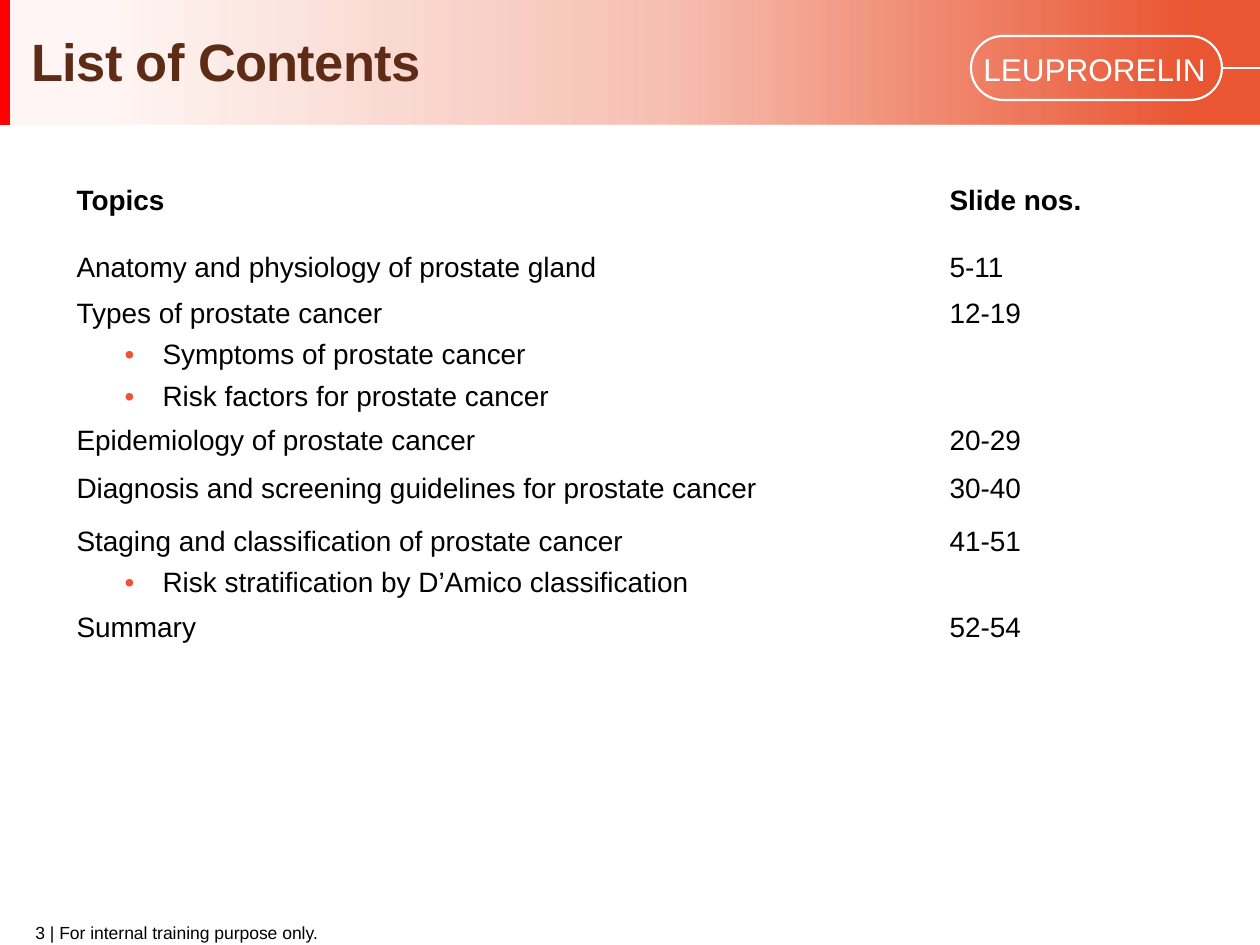
from lxml.etree import SubElement
from pptx import Presentation
from pptx.dml.color import RGBColor
from pptx.enum.shapes import MSO_CONNECTOR, MSO_SHAPE
from pptx.enum.text import MSO_ANCHOR, PP_ALIGN
from pptx.oxml import parse_xml
from pptx.oxml.ns import nsdecls, qn
from pptx.util import Pt

PX = 914400 // 126
COLORS = {
    "accent": "EA5532", "edge": "FF0000", "title": "5E2C16",
    "text": "000000", "white": "FFFFFF",
}


def color(key):
    return RGBColor.from_string(COLORS[key])


def style(paragraph, size, key, bold=False):
    for run in paragraph.runs:
        run.font.name = "Arial"
        run.font.size = Pt(size)
        run.font.bold = bold
        run.font.color.rgb = color(key)


prs = Presentation()
prs.slide_width, prs.slide_height = 1260 * PX, 945 * PX
slide = prs.slides.add_slide(prs.slide_layouts[5])
shapes = slide.shapes

# Header band: one accent colour, from nearly clear to solid
band = shapes.add_shape(MSO_SHAPE.RECTANGLE, -1 * PX, 0, 1261 * PX, 125 * PX)
band.shadow.inherit = False
band.line.fill.background()
stops = "".join(
    f'<a:gs pos="{pos}000"><a:srgbClr val="{COLORS["accent"]}">'
    f'<a:alpha val="{alpha}000"/></a:srgbClr></a:gs>'
    for pos, alpha in [(9, 5), (53, 37), (95, 100)]
)
gradient = parse_xml(
    f'<a:gradFill {nsdecls("a")} rotWithShape="1"><a:gsLst>{stops}</a:gsLst>'
    '<a:lin ang="0" scaled="0"/></a:gradFill>'
)
band.element.spPr.find(qn("a:prstGeom")).addnext(gradient)

edge = shapes.add_shape(MSO_SHAPE.RECTANGLE, -1 * PX, 0, 11 * PX, 125 * PX)
edge.shadow.inherit = False
edge.fill.solid()
edge.fill.fore_color.rgb = color("edge")
edge.line.fill.background()

# Drug name pill with its line to the slide edge
pill = shapes.add_shape(MSO_SHAPE.ROUNDED_RECTANGLE, 971 * PX, 36 * PX, 251 * PX, 64 * PX)
pill.adjustments[0] = 0.5
pill.shadow.inherit = False
pill.fill.background()
pill.line.color.rgb = color("white")
pill.line.width = Pt(1.25)

pill_line = shapes.add_connector(MSO_CONNECTOR.STRAIGHT, 1222 * PX, 68 * PX, 1260 * PX, 68 * PX)
pill_line.begin_connect(pill, 3)
pill_line.line.color.rgb = color("white")
pill_line.line.width = Pt(1.4)
SubElement(pill_line.element.spPr, qn("a:effectLst"))

drug_name = shapes.add_textbox(971 * PX, 44 * PX, 256 * PX, 50 * PX).text_frame
drug_name.word_wrap = True
drug_name.text = "LEUPRORELIN"
style(drug_name.paragraphs[0], 18, "white")

# Footer
for left, width, text, align in [
    (50, 595, "| For internal training purpose only.", PP_ALIGN.LEFT),
    (0, 45, "3", PP_ALIGN.RIGHT),
]:
    footer = shapes.add_textbox(left * PX, 920 * PX, width * PX, 25 * PX).text_frame
    footer.margin_left = footer.margin_right = footer.margin_top = footer.margin_bottom = 0
    footer.word_wrap = True
    footer.vertical_anchor = MSO_ANCHOR.MIDDLE
    footer.text = text
    footer.paragraphs[0].alignment = align
    style(footer.paragraphs[0], 10, "text")

# Title, brought in front of the band
title = shapes.title
shapes.element.append(title.element)
title.left, title.top, title.width, title.height = 19 * PX, 11 * PX, 979 * PX, 88 * PX
title.text_frame.text = "List of Contents"
title.text_frame.vertical_anchor = MSO_ANCHOR.BOTTOM
heading = title.text_frame.paragraphs[0]
heading.alignment = PP_ALIGN.LEFT
heading.line_spacing = 0.85
style(heading, 30, "title", bold=True)
heading.runs[0].font.element.set("spc", "-40") if hasattr(
    heading.runs[0].font, "element") else heading.runs[0]._r.get_or_add_rPr().set("spc", "-40")

# Contents: row height, topic with its subtopics, slide numbers
contents = [
    (67, ["Topics"], "Slide nos."),
    (46, ["Anatomy and physiology of prostate gland"], "5-11"),
    (127, ["Types of prostate cancer", "Symptoms of prostate cancer",
           "Risk factors for prostate cancer"], "12-19"),
    (48, ["Epidemiology of prostate cancer"], "20-29"),
    (53, ["Diagnosis and screening guidelines for prostate cancer"], "30-40"),
    (86, ["Staging and classification of prostate cancer",
          "Risk stratification by D’Amico classification"], "41-51"),
    (38, ["Summary"], "52-54"),
]
total_height = sum(height for height, _, _ in contents)
table = shapes.add_table(len(contents), 2, 64 * PX, 180 * PX, 1096 * PX, total_height * PX).table
table.first_row = table.horz_banding = False
table.columns[0].width, table.columns[1].width = 873 * PX, 223 * PX

for row, (height, topics, slide_numbers) in enumerate(contents):
    table.rows[row].height = height * PX
    for column, lines in enumerate([topics, [slide_numbers]]):
        cell = table.cell(row, column)
        cell.fill.solid()
        cell.fill.fore_color.rgb = color("white")
        cell.margin_top = cell.margin_bottom = 5 * PX
        cell.text_frame.text = "\n".join(lines)
        for index, paragraph in enumerate(cell.text_frame.paragraphs):
            if index:
                paragraph.level = 1
                paragraph.space_before = Pt(6)
                properties = paragraph._p.get_or_add_pPr()
                properties.set("marL", str(86 * PX))
                properties.set("indent", str(-38 * PX))
                bullet_color = SubElement(properties, qn("a:buClr"))
                SubElement(bullet_color, qn("a:srgbClr"), val=COLORS["accent"])
                SubElement(properties, qn("a:buFont"), typeface="Arial")
                SubElement(properties, qn("a:buChar"), char="•")
            style(paragraph, 16, "text", bold=row == 0)

prs.save("out.pptx")
